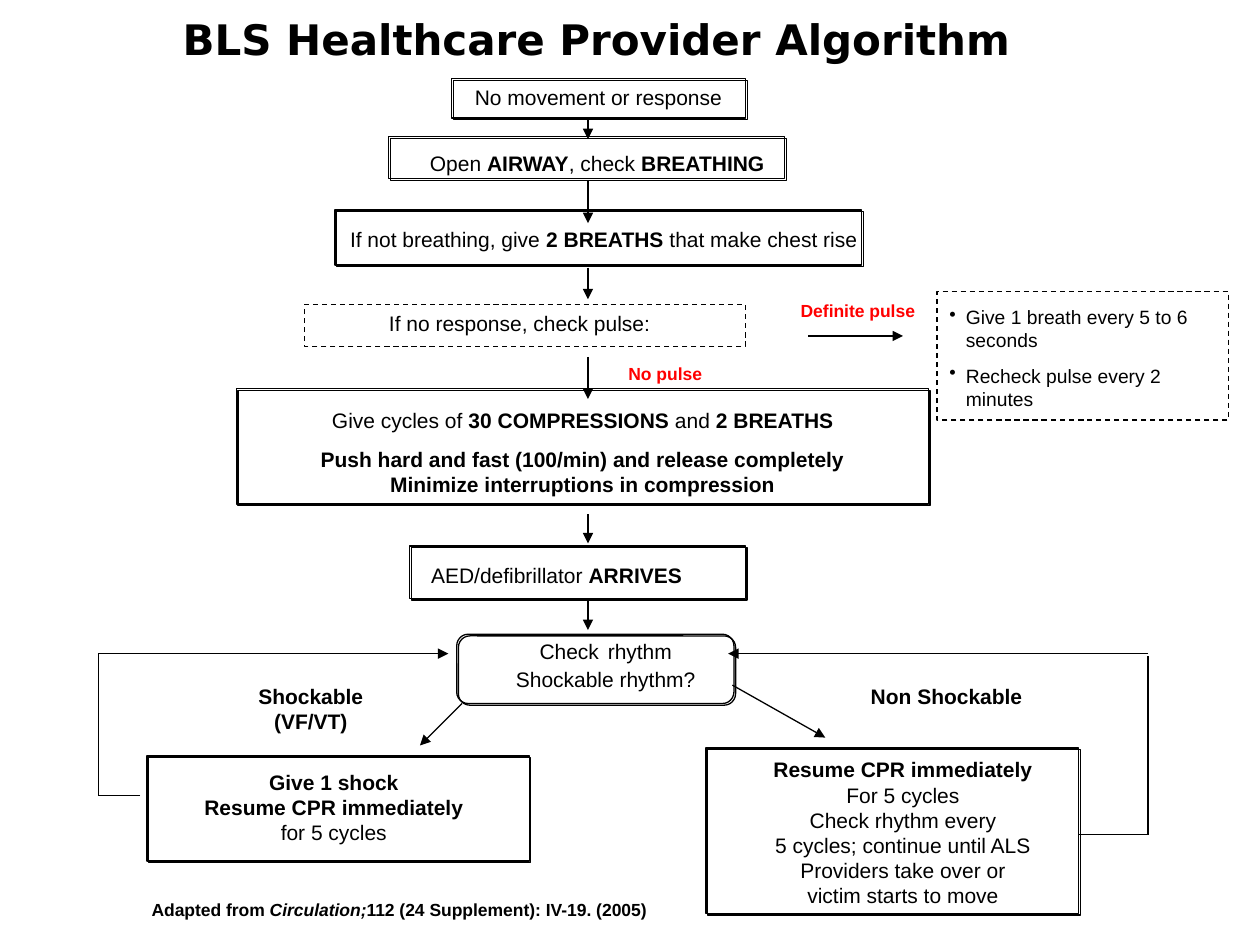
from lxml import etree
from pptx import Presentation
from pptx import util as u
from pptx.dml.color import RGBColor
from pptx.enum import dml, shapes, text
from pptx.oxml.ns import qn

BLACK = RGBColor(0, 0, 0)
RED = RGBColor(0xFF, 0, 0)
WHITE = RGBColor(0xFF, 0xFF, 0xFF)
LINE = u.Pt(0.75)

deck = Presentation()
deck.slide_width, deck.slide_height = u.Inches(10), u.Inches(7.5)
CELL = deck.slide_width / 120  # square grid: 120 columns by 90 rows
page = deck.slides.add_slide(deck.slide_layouts[6])
page.background.fill.solid()
page.background.fill.fore_color.rgb = WHITE


def grid(*cells):
    return [round(cell * CELL) for cell in cells]


def add_text(place, paragraphs, size=12, color=BLACK, gap=0, font="Arial", bullet=False):
    """Each paragraph is a list of (wording, style): b bold, i italic, L large."""
    box = page.shapes.add_textbox(*grid(*place))
    frame = box.text_frame
    frame.word_wrap = True
    for index, runs in enumerate(paragraphs):
        para = frame.paragraphs[0] if index == 0 else frame.add_paragraph()
        para.alignment = text.PP_ALIGN.LEFT if bullet else text.PP_ALIGN.CENTER
        if index == 1 and gap:
            para.space_before = u.Pt(gap)
        if bullet:
            props = para._p.get_or_add_pPr()
            props.set("marL", str(u.Inches(0.13)))
            props.set("indent", str(-u.Inches(0.13)))
            etree.SubElement(props, qn("a:buChar")).set("char", "•")
        for wording, style in runs:
            span = para.add_run()
            span.text = wording
            span.font.name = font
            span.font.size = u.Pt(18 if "L" in style else size)
            span.font.bold = "b" in style
            span.font.italic = "i" in style
            span.font.color.rgb = color
    return box


# Frames: preset, place, dashed (the solid ones carry a shadow)
RECT, ROUND = shapes.MSO_SHAPE.RECTANGLE, shapes.MSO_SHAPE.ROUNDED_RECTANGLE
frames = [
    (RECT, (43, 7.5, 28, 3.75), False),
    (RECT, (37, 13, 37.75, 4), False),
    (RECT, (31.9, 20, 50.15, 5.25), False),
    (RECT, (29, 29, 42, 4), True),
    (RECT, (89.25, 27.75, 27.75, 12.25), True),
    (RECT, (22.5, 37, 65.9, 11), False),
    (RECT, (39, 52, 32, 5), False),
    (ROUND, (43.5, 60.4, 26.4, 6.6), False),
    (RECT, (14, 72, 36.4, 10), False),
    (RECT, (67.25, 71.25, 35.5, 15.75), False),
]
for preset, place, dashed in frames:
    shape = page.shapes.add_shape(preset, *grid(*place))
    shape.fill.background()
    shape.line.color.rgb = BLACK
    shape.line.width = LINE
    shape.shadow.inherit = False
    if dashed:
        shape.line.dash_style = dml.MSO_LINE.DASH
    else:
        effects = shape._element.spPr.find(qn("a:effectLst"))
        shadow = etree.SubElement(effects, qn("a:outerShdw"), dist=str(u.Pt(1.4)),
                                  dir="2700000", algn="ctr", rotWithShape="0")
        etree.SubElement(shadow, qn("a:srgbClr"), val=str(BLACK))

# Lines: start, end, arrowhead
SPINE, LEFT, RIGHT, LOOP = 56, 9.35, 109.35, 62.25
steps = [(11.25, 13.25), (17.25, 21.25), (25.5, 28.5), (34, 38), (49, 51.75), (57, 60)]
lines = [(SPINE, top, SPINE, bottom, True) for top, bottom in steps] + [
    (77, 32, 86, 32, True),
    (44, 67, 40, 71, True),
    (69.75, 65.25, 78.6, 70.25, True),
    (13.35, 75.75, LEFT, 75.75, False),
    (LEFT, 75.75, LEFT, LOOP, False),
    (LEFT, LOOP, 42.7, LOOP, True),
    (102.75, 79.5, RIGHT, 79.5, False),
    (RIGHT, 79.5, RIGHT, 62.5, False),
    (RIGHT, LOOP, 69.35, LOOP, True),
]
for *ends, arrow in lines:
    line = page.shapes.add_connector(shapes.MSO_CONNECTOR.STRAIGHT, *grid(*ends))
    line.line.color.rgb = BLACK
    line.line.width = LINE
    if arrow:
        etree.SubElement(line.line._get_or_add_ln(), qn("a:tailEnd"), type="triangle")
    etree.SubElement(line._element.spPr, qn("a:effectLst"))

title = add_text((1.3, 0.7, 111, 6), [[("BLS Healthcare Provider Algorithm", "b")]],
                 size=24, font="DejaVu Sans")
title.text_frame.vertical_anchor = text.MSO_ANCHOR.MIDDLE

# Main column
add_text((43, 7.5, 28, 3.6), [[("No movement or response", "")]])
add_text((38.75, 13.75, 36.25, 3.6),
         [[("Open ", ""), ("AIRWAY", "b"), (", check ", ""), ("BREATHING", "b")]])
add_text((31, 21, 53, 3.6), [[("If not breathing, give ", ""), ("2 BREATHS", "b"),
                              (" that make chest rise", "")]])
add_text((29, 29, 41, 3.6), [[("If no response, check pulse:", "")]])
add_text((20, 38.25, 71, 9.7), [
    [("Give cycles of ", ""), ("30 COMPRESSIONS", "b"), (" and ", ""), ("2 BREATHS", "b")],
    [("Push hard and fast (100/min) and release completely", "b")],
    [("Minimize interruptions in compression", "b")],
], gap=7.5)
add_text((31, 53, 44, 3.6), [[("AED/defibrillator ", ""), ("ARRIVES", "b")]])
add_text((41.4, 59.25, 32.6, 7.2), [[("Check", ""), (" ", "L"), ("rhythm", "")],
                                    [("Shockable rhythm?", "")]])

# Pulse branch
add_text((74, 28, 15.4, 3.25), [[("Definite pulse", "b")]], size=10, color=RED)
add_text((55, 34, 16.7, 3.25), [[("No pulse", "b")]], size=10, color=RED)
add_text((89.25, 28.5, 25.7, 11.2), [[("Give 1 breath every 5 to 6 seconds", "")],
                                     [("Recheck pulse every 2 minutes", "")]],
         size=11, gap=6.9, bullet=True)

# Rhythm branches
add_text((21.4, 64.5, 16.4, 6), [[("Shockable (VF/VT)", "b")]])
add_text((80, 64.5, 20.3, 3.6), [[("Non Shockable", "b")]])
add_text((13.8, 72.7, 36, 8.4), [[("Give 1 shock", "b")], [("Resume CPR immediately", "b")],
                                 [("for 5 cycles", "")]])
add_text((72, 71.5, 28, 15.6), [
    [("Resume CPR immediately", "b")],
    [("For 5 cycles", "")],
    [("Check rhythm every", "")],
    [("5 cycles; continue until ALS", "")],
    [("Providers take over or", "")],
    [("victim starts to move", "")],
])

add_text((13, 85, 50, 3.25), [[("Adapted from ", "b"), ("Circulation;", "bi"),
                               ("112 (24 Supplement): IV-19. (2005)", "b")]], size=10)

deck.save("out.pptx")
